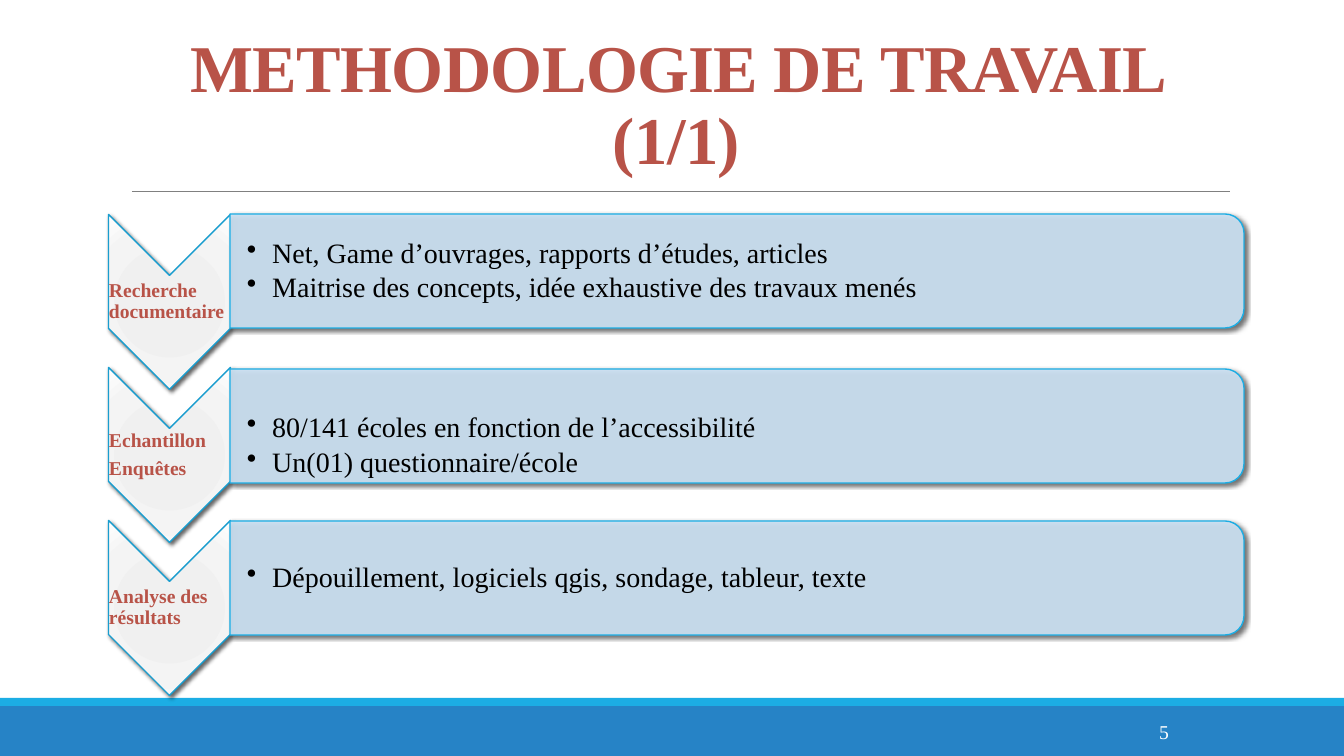
"""Build the work methodology slide with three chevron steps."""
from lxml import etree
from pptx import Presentation
from pptx.dml.color import RGBColor
from pptx.enum.shapes import MSO_CONNECTOR, MSO_SHAPE
from pptx.enum.text import MSO_ANCHOR, PP_ALIGN
from pptx.oxml import parse_xml
from pptx.oxml.ns import qn
from pptx.util import Pt

PX = 914400 / 100.8
RECTANGLE = MSO_SHAPE.RECTANGLE
CHEVRON = MSO_SHAPE.CHEVRON
ROUNDED_END = MSO_SHAPE.ROUND_2_SAME_RECTANGLE
STRAIGHT = MSO_CONNECTOR.STRAIGHT
MIDDLE = MSO_ANCHOR.MIDDLE
LEFT, CENTER = PP_ALIGN.LEFT, PP_ALIGN.CENTER
color = RGBColor.from_string
RED = "B85348"
CYAN = "1CADE4"
STEP = 153
NAMESPACE = "http://schemas.openxmlformats.org/drawingml/2006/main"
STOPS = "".join(
    f'<a:gs pos="{position * 1000}"><a:srgbClr val="{value}"/></a:gs>'
    for position, value in [(0, "EEEEEE"), (34, "F0F0F0"), (70, "F4F4F4"), (100, "FFFFFF")]
)
GRADIENT = (
    f'<a:gradFill xmlns:a="{NAMESPACE}" rotWithShape="1"><a:gsLst>{STOPS}</a:gsLst>'
    '<a:path path="circle"><a:fillToRect l="100000" t="100000" r="100000" b="100000"/>'
    "</a:path></a:gradFill>"
)
SHADOW = (
    f'<a:outerShdw xmlns:a="{NAMESPACE}" blurRad="38100" dist="25400" dir="2700000" '
    'rotWithShape="0"><a:srgbClr val="000000"><a:alpha val="60000"/></a:srgbClr></a:outerShdw>'
)
STEPS = [
    (214, 0, ["Recherche documentaire"],
     ["Net, Game d’ouvrages, rapports d’études, articles",
      "Maitrise des concepts, idée exhaustive des travaux menés"]),
    (369, 39, ["Echantillon", "Enquêtes"],
     ["80/141 écoles en fonction de l’accessibilité",
      "Un(01) questionnaire/école"]),
    (521, 0, ["Analyse des résultats"],
     ["Dépouillement, logiciels qgis, sondage, tableur, texte"]),
]


def px(*lengths):
    return [round(length * PX) for length in lengths]


def add_text(box, lines, size, text_color, bold=False, align=LEFT, insets=(10, 5, 10, 5),
             spacing=1.0, after=0, bullet=False):
    frame = slide.shapes.add_textbox(*px(*box)).text_frame
    frame.word_wrap = True
    frame.vertical_anchor = MIDDLE
    (frame.margin_left, frame.margin_top,
     frame.margin_right, frame.margin_bottom) = px(*insets)
    frame.text = "\n".join(lines)
    for paragraph in frame.paragraphs:
        paragraph.alignment = align
        paragraph.line_spacing = spacing
        paragraph.space_after = Pt(after)
        if bullet:
            properties = paragraph._p.get_or_add_pPr()
            properties.set("marL", "228600")
            properties.set("indent", "-228600")
            etree.SubElement(properties, qn("a:buChar")).set("char", "•")
        for run in paragraph.runs:
            run.font.name = "Times New Roman"
            run.font.size = Pt(size)
            run.font.bold = bold
            run.font.color.rgb = color(text_color)
    return frame


presentation = Presentation()
presentation.slide_width, presentation.slide_height = px(1344, 756)
slide = presentation.slides.add_slide(presentation.slide_layouts[6])

for top, height, band_color in [(706, 50, "2683C6"), (698, 8, CYAN)]:
    band = slide.shapes.add_shape(RECTANGLE, *px(0, top, 1344, height))
    band.shadow.inherit = False
    band.fill.solid()
    band.fill.fore_color.rgb = color(band_color)
    band.line.fill.background()

rule = slide.shapes.add_connector(STRAIGHT, *px(132, 191, 1230, 191))
rule.line.color.rgb = color("808080")
rule.line.width = Pt(0.5)
etree.SubElement(rule._element.spPr, qn("a:effectLst"))

for index, (panel_top, top_inset, labels, bullets) in enumerate(STEPS):
    offset = index * STEP
    chevron = slide.shapes.add_shape(CHEVRON, *px(82, 241 + offset, 175, 122))
    panel = slide.shapes.add_shape(ROUNDED_END, *px(680, panel_top - 450, 114, 1014))
    for shape, line_color in [(chevron, "199DCF"), (panel, CYAN)]:
        shape.rotation = 90
        shape.line.color.rgb = color(line_color)
        shape.line.width = Pt(1)
        shape.shadow.inherit = False
        shape._element.spPr.find(qn("a:effectLst")).append(parse_xml(SHADOW))
    chevron._element.spPr.find(qn("a:prstGeom")).addnext(parse_xml(GRADIENT))
    panel.fill.solid()
    panel.fill.fore_color.rgb = color("CDE3F5")
    panel_color = panel._element.spPr.find(qn("a:solidFill"))[0]
    etree.SubElement(panel_color, qn("a:alpha")).set("val", "90000")

    add_text((108, 276 + offset, 123, 52), labels, 14, RED, bold=True,
             insets=(1, 1, 1, 1), spacing=0.9, after=5)
    add_text((231, panel_top + 6, 1009, 103), bullets, 20, "000000",
             insets=(16, 1 + top_inset, 1, 1), spacing=0.9, after=3, bullet=True)

title = add_text((122, 40, 1109, 134), ["METHODOLOGIE DE TRAVAIL (1/1)"], 47.7, RED,
                 bold=True, align=CENTER, spacing=0.89)
title.paragraphs[0].runs[0].font._element.set("spc", "-50")
add_text((1092, 712, 144, 40), ["5"], 14, "FFFFFF", align=CENTER)

presentation.save("out.pptx")
